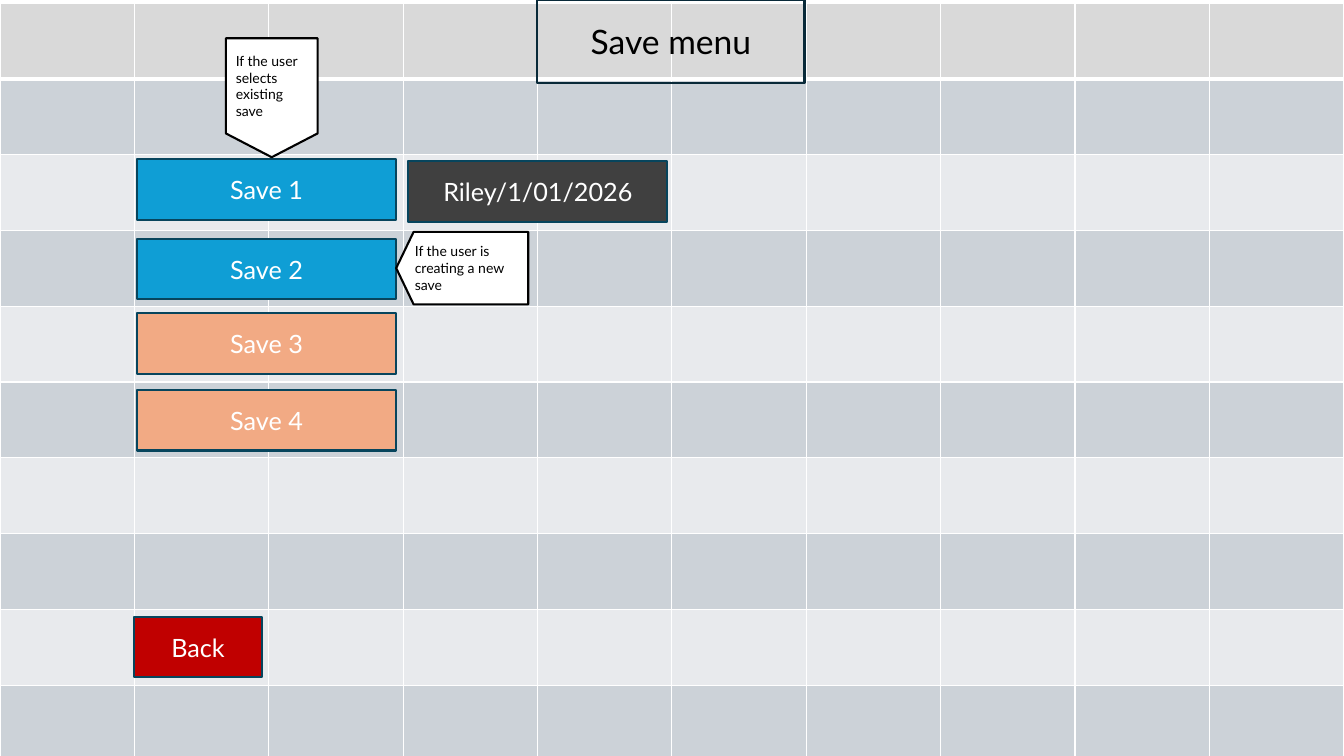
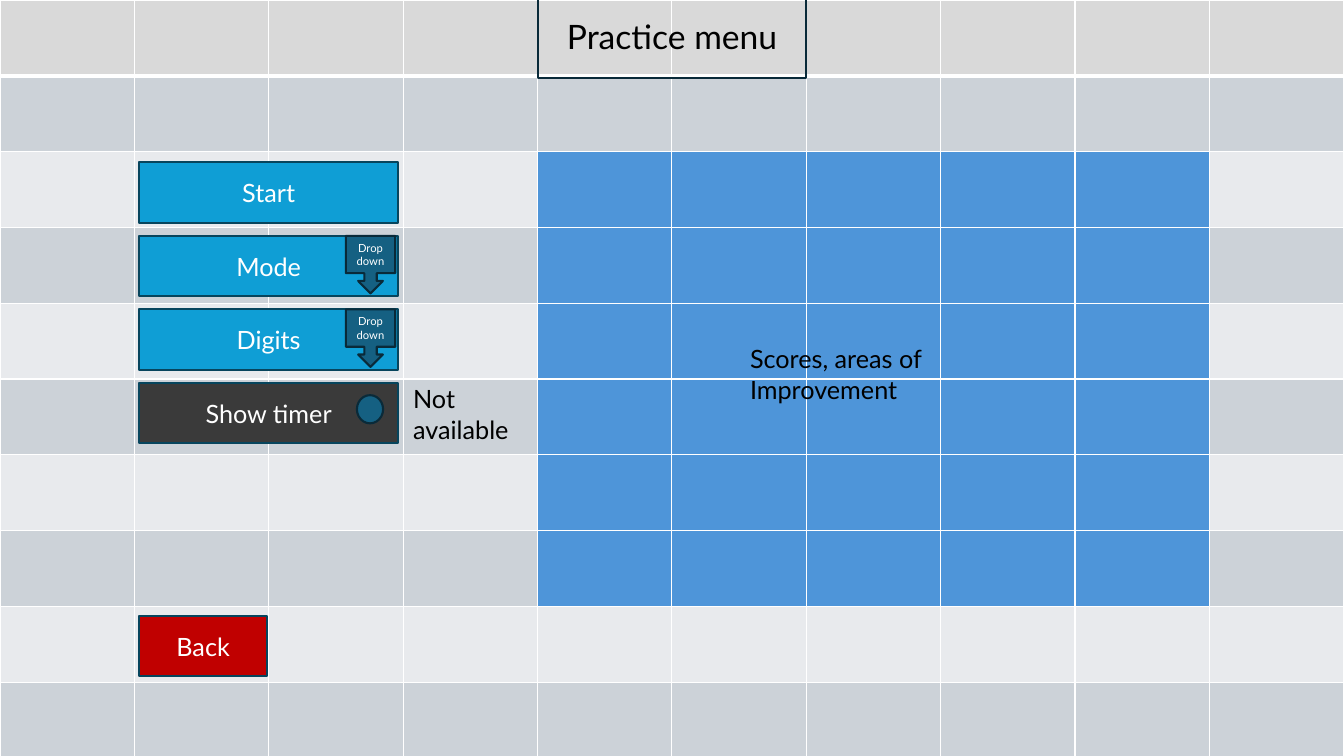
from lxml.etree import SubElement
from pptx import Presentation
from pptx.dml.color import RGBColor
from pptx.enum.shapes import MSO_SHAPE
from pptx.enum.text import MSO_ANCHOR, MSO_AUTO_SIZE, PP_ALIGN
from pptx.oxml.ns import qn
from pptx.util import Inches, Pt

FONT = "Lato"
BLACK = RGBColor(0x00, 0x00, 0x00)
WHITE = RGBColor(0xFF, 0xFF, 0xFF)
HEADER_GREY = RGBColor(0xD9, 0xD9, 0xD9)
BAND_DARK = RGBColor(0xCC, 0xD2, 0xD8)
BAND_LIGHT = RGBColor(0xE8, 0xEA, 0xED)
SCORE_BLUE = RGBColor(0x4E, 0x95, 0xD9)
BUTTON_BLUE = RGBColor(0x0F, 0x9E, 0xD5)
BUTTON_ORANGE = RGBColor(0xF2, 0xAA, 0x84)
BUTTON_RED = RGBColor(0xC0, 0x00, 0x00)
DETAIL_GREY = RGBColor(0x40, 0x40, 0x40)
DISABLED_GREY = RGBColor(0x3A, 0x3A, 0x3A)
BUTTON_LINE = RGBColor(0x07, 0x45, 0x5D)
CONTROL_TEAL = RGBColor(0x15, 0x60, 0x82)
DARK_LINE = RGBColor(0x09, 0x2A, 0x39)

SLIDE_WIDTH, SLIDE_HEIGHT = 13.33, 7.5
GRID_COUNT = 10
GRID_HEIGHT = 7.52
BUTTON_WIDTH, BUTTON_HEIGHT = 2.57, 0.6
BACK_WIDTH = 1.27


def write(frame, text, size, color, align=PP_ALIGN.LEFT):
    frame.text = text
    para = frame.paragraphs[0]
    para.alignment = align
    for span in para.runs:
        span.font.name = FONT
        span.font.size = Pt(size)
        span.font.color.rgb = color


def outline(shape, color):
    shape.line.color.rgb = color
    shape.line.width = Pt(1.5)


def add_box(page, kind, left, top, width, height, fill, line):
    box = page.shapes.add_shape(
        kind, Inches(left), Inches(top), Inches(width), Inches(height))
    box.shadow.inherit = False
    box.fill.solid()
    box.fill.fore_color.rgb = fill
    outline(box, line)
    box.text_frame.vertical_anchor = MSO_ANCHOR.MIDDLE
    return box


def add_button(page, text, left, top, fill, width=BUTTON_WIDTH):
    button = add_box(page, MSO_SHAPE.RECTANGLE, left, top, width,
                     BUTTON_HEIGHT, fill, BUTTON_LINE)
    write(button.text_frame, text, 18, WHITE, PP_ALIGN.CENTER)


def add_note(page, kind, text, left, top, width, height):
    note = add_box(page, kind, left, top, width, height, WHITE, BLACK)
    write(note.text_frame, text, 10, BLACK)
    return note


def add_drop_down(page, button_left, button_top):
    arrow = add_box(page, MSO_SHAPE.DOWN_ARROW_CALLOUT, button_left + 2.05,
                    button_top, 0.49, 0.57, CONTROL_TEAL, DARK_LINE)
    write(arrow.text_frame, "Drop down", 8, WHITE, PP_ALIGN.CENTER)


def add_timer_switch(page, button_left, button_top):
    add_box(page, MSO_SHAPE.FLOWCHART_CONNECTOR, button_left + 2.16,
            button_top + 0.12, 0.26, 0.28, CONTROL_TEAL, DARK_LINE)


def set_borders(cell, row):
    """Draw white cell borders, thick between the header and the body."""
    properties = cell._tc.get_or_add_tcPr()
    widths = {"L": 1, "R": 1, "T": 3 if row == 1 else 1,
              "B": 3 if row == 0 else 1}
    for side, width in widths.items():
        border = SubElement(properties, qn(f"a:ln{side}"), w=str(Pt(width)))
        fill = SubElement(border, qn("a:solidFill"))
        SubElement(fill, qn("a:srgbClr"), val=str(WHITE))


def add_grid(page, top, is_score=lambda row, column: False):
    frame = page.shapes.add_table(
        GRID_COUNT, GRID_COUNT, 0, Inches(top),
        Inches(SLIDE_WIDTH), Inches(GRID_HEIGHT))
    grid = frame.table
    grid.first_row = grid.horz_banding = False
    for row in range(GRID_COUNT):
        for column in range(GRID_COUNT):
            cell = grid.cell(row, column)
            set_borders(cell, row)
            cell.fill.solid()
            if row == 0:
                color = HEADER_GREY
            elif is_score(row, column):
                color = SCORE_BLUE
            else:
                color = BAND_DARK if row % 2 else BAND_LIGHT
            cell.fill.fore_color.rgb = color
    return grid


def place_title(page, text, left, top):
    title = page.shapes.title
    title.element.getparent().append(title.element)  # above the grid
    title.left, title.top = Inches(left), Inches(top)
    title.width, title.height = Inches(2.65), Inches(0.82)
    outline(title, DARK_LINE)
    frame = title.text_frame
    frame.auto_size = MSO_AUTO_SIZE.NONE
    frame.vertical_anchor = MSO_ANCHOR.MIDDLE
    write(frame, text, 24, BLACK, PP_ALIGN.CENTER)


def add_page(deck):
    return deck.slides.add_slide(deck.slide_layouts[5])


def build_save_menu(deck):
    page = add_page(deck)
    add_grid(page, 0.03)
    place_title(page, "Save menu", 5.33, 0)
    left = 1.36
    saves = [("Save 1", 1.58, BUTTON_BLUE), ("Save 2", 2.37, BUTTON_BLUE),
             ("Save 3", 3.11, BUTTON_ORANGE), ("Save 4", 3.87, BUTTON_ORANGE)]
    for text, top, fill in saves:
        add_button(page, text, left, top, fill)
    add_button(page, "Riley/1/01/2026", 4.05, 1.6, DETAIL_GREY)
    add_note(page, MSO_SHAPE.FLOWCHART_OFFPAGE_CONNECTOR,
             "If the user selects existing save", 2.24, 0.38, 0.91, 1.18)
    new_save = add_note(page, MSO_SHAPE.PENTAGON,
                        "If the user is creating a new save",
                        left + BUTTON_WIDTH, 2.3, 1.31, 0.72)
    new_save.adjustments[0] = 0.24
    new_save.element.spPr.find(qn("a:xfrm")).set("flipH", "1")
    add_button(page, "Back", 1.33, 6.12, BUTTON_RED, BACK_WIDTH)


def build_practice_menu(deck):
    page = add_page(deck)
    grid = add_grid(page, 0, lambda row, column: 2 <= row <= 7 and 4 <= column <= 8)
    write(grid.cell(5, 3).text_frame, "Not available", 18, BLACK)
    place_title(page, "Practice menu", 5.34, -0.05)

    left, first_top, step = 1.38, 1.61, 0.73
    options = [("Start", BUTTON_BLUE, None),
               ("Mode", BUTTON_BLUE, add_drop_down),
               ("Digits", BUTTON_BLUE, add_drop_down),
               ("Show timer", DISABLED_GREY, add_timer_switch)]
    for index, (text, fill, add_control) in enumerate(options):
        top = first_top + index * step
        add_button(page, text, left, top, fill)
        if add_control:
            add_control(page, left, top)
    add_button(page, "Back", left, 6.11, BUTTON_RED, BACK_WIDTH)

    scores = page.shapes.add_textbox(
        Inches(7.34), Inches(3.36), Inches(3.29), Inches(0.71))
    scores.text_frame.word_wrap = True
    write(scores.text_frame, "Scores, areas of Improvement", 18, BLACK)


def main():
    deck = Presentation()
    deck.slide_width = Inches(SLIDE_WIDTH)
    deck.slide_height = Inches(SLIDE_HEIGHT)
    build_save_menu(deck)
    build_practice_menu(deck)
    deck.save("out.pptx")


if __name__ == "__main__":
    main()
